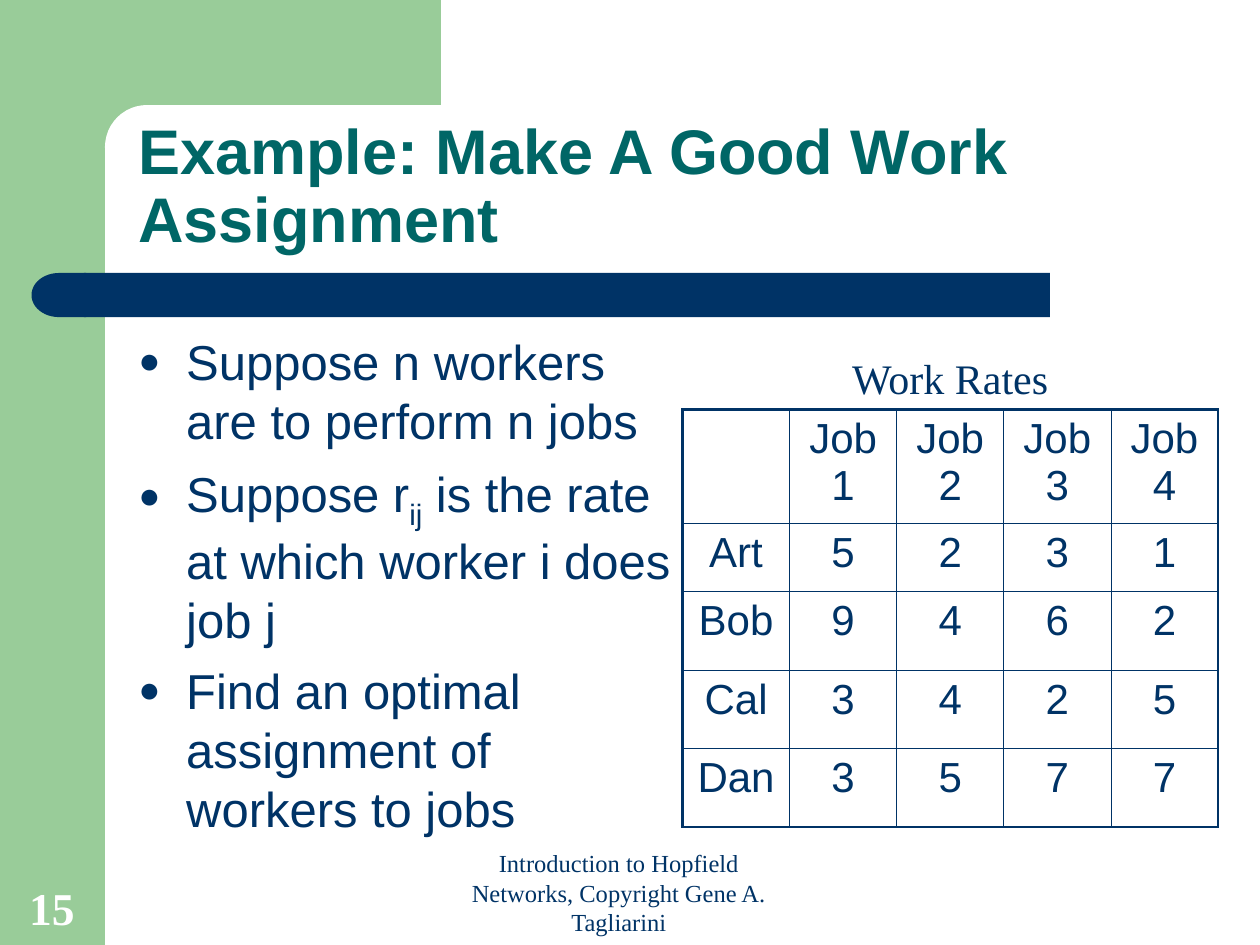
"""Build the work assignment slide on a grid of 120 columns by 90 rows."""
from dataclasses import dataclass

from lxml.etree import SubElement
from pptx import Presentation
from pptx.dml.color import RGBColor
from pptx.enum.shapes import MSO_SHAPE
from pptx.enum.text import MSO_ANCHOR, PP_ALIGN
from pptx.oxml.ns import qn
from pptx.util import Inches, Pt


@dataclass(frozen=True)
class Theme:
    green: str = "99CC99"
    navy: str = "003366"
    teal: str = "006666"
    white: str = "FFFFFF"
    sans: str = "Arial"
    serif: str = "Times New Roman"
    title_size: int = 36
    body_size: int = 28
    subscript_size: int = 29
    table_size: int = 24
    number_size: int = 26
    footer_size: int = 14
    outer_border: float = 1.47
    inner_border: float = 0.45


THEME = Theme()
COLUMNS, ROWS = 120, 90
WIDTH, HEIGHT = Inches(10), Inches(7.5)
BULLETS = [
    [("Suppose n workers are to perform n jobs", False)],
    [("Suppose r", False), ("ij", True),
     (" is the rate at which worker i does job j", False)],
    [("Find an optimal assignment of workers to jobs", False)],
]
WORK_RATES = [
    ["", "Job 1", "Job 2", "Job 3", "Job 4"],
    ["Art", "5", "2", "3", "1"],
    ["Bob", "9", "4", "6", "2"],
    ["Cal", "3", "4", "2", "5"],
    ["Dan", "3", "5", "7", "7"],
]
RATE_COLUMN = 10.2
RATE_ROWS = [10.8, 6.5, 7.5, 7.5, 7.5]


def across(columns):
    return round(WIDTH * columns / COLUMNS)


def down(rows):
    return round(HEIGHT * rows / ROWS)


def place(left, top, width, height):
    return across(left), down(top), across(width), down(height)


def add_panel(slide, kind, box, color, rounding=None, flipped=False):
    shape = slide.shapes.add_shape(kind, *place(*box))
    shape.shadow.inherit = False
    shape.fill.solid()
    shape.fill.fore_color.rgb = RGBColor.from_string(color)
    shape.line.fill.background()
    if rounding is not None:
        shape.adjustments[0] = rounding
    if flipped:
        shape.element.spPr.find(qn("a:xfrm")).set("flipH", "1")


def add_run(paragraph, text, size, color=THEME.navy, font=THEME.sans, bold=False):
    run = paragraph.add_run()
    run.text = text
    run.font.size = Pt(size)
    run.font.name = font
    run.font.bold = bold
    run.font.color.rgb = RGBColor.from_string(color)
    return run


def add_frame(slide, box, anchor=MSO_ANCHOR.TOP):
    frame = slide.shapes.add_textbox(*place(*box)).text_frame
    frame.word_wrap = True
    frame.vertical_anchor = anchor
    return frame


def add_label(slide, box, text, size, anchor=MSO_ANCHOR.BOTTOM,
              align=PP_ALIGN.LEFT, spacing=None, before=0, **style):
    paragraph = add_frame(slide, box, anchor).paragraphs[0]
    paragraph.alignment = align
    paragraph.line_spacing = spacing
    paragraph.space_before = Pt(before)
    add_run(paragraph, text, size, **style)
    return paragraph


def set_bullet(paragraph):
    properties = paragraph._p.get_or_add_pPr()
    properties.set("marL", str(Inches(0.38)))
    properties.set("indent", str(-Inches(0.38)))
    color = SubElement(properties, qn("a:buClr"))
    SubElement(color, qn("a:srgbClr"), val=THEME.navy)
    SubElement(properties, qn("a:buSzPct"), val="75000")
    SubElement(properties, qn("a:buFont"), typeface=THEME.sans)
    SubElement(properties, qn("a:buChar"), char="●")


def add_bullets(slide, box, items):
    frame = add_frame(slide, box)
    for index, pieces in enumerate(items):
        paragraph = frame.add_paragraph() if index else frame.paragraphs[0]
        paragraph.space_before = Pt(7)
        set_bullet(paragraph)
        for text, lowered in pieces:
            size = THEME.subscript_size if lowered else THEME.body_size
            run = add_run(paragraph, text, size)
            if lowered:
                run.font._element.set("baseline", "-25000")


def set_borders(cell, outer_sides):
    properties = cell._tc.get_or_add_tcPr()
    for side, is_outer in outer_sides.items():
        weight = THEME.outer_border if is_outer else THEME.inner_border
        line = SubElement(properties, qn(f"a:ln{side}"), w=str(Pt(weight)))
        fill = SubElement(line, qn("a:solidFill"))
        SubElement(fill, qn("a:srgbClr"), val=THEME.navy)


def add_rate_table(slide, left, top, values):
    last_row, last_column = len(values) - 1, len(values[0]) - 1
    box = place(left, top, RATE_COLUMN * len(values[0]), sum(RATE_ROWS))
    table = slide.shapes.add_table(len(values), len(values[0]), *box).table
    table.first_row = table.horz_banding = False
    for column in table.columns:
        column.width = across(RATE_COLUMN)
    for row_index, row in enumerate(values):
        table.rows[row_index].height = down(RATE_ROWS[row_index])
        for column_index, text in enumerate(row):
            cell = table.cell(row_index, column_index)
            set_borders(cell, {"L": column_index == 0,
                               "R": column_index == last_column,
                               "T": row_index == 0,
                               "B": row_index == last_row})
            cell.fill.background()
            paragraph = cell.text_frame.paragraphs[0]
            paragraph.alignment = PP_ALIGN.CENTER
            paragraph.space_before = Pt(6)
            if text:
                add_run(paragraph, text, THEME.table_size)


def add_backdrop(slide):
    add_panel(slide, MSO_SHAPE.RECTANGLE, (0, 0, 10, 90), THEME.green)
    add_panel(slide, MSO_SHAPE.RECTANGLE, (9, 0, 33, 14), THEME.green)
    add_panel(slide, MSO_SHAPE.ROUNDED_RECTANGLE, (10, 10, 67, 8), THEME.white, 0.5)
    add_panel(slide, MSO_SHAPE.ROUNDED_RECTANGLE, (8, 26, 92, 4.2), THEME.navy, 0)
    add_panel(slide, MSO_SHAPE.FLOWCHART_DELAY, (3, 26, 5.2, 4.2), THEME.navy,
              flipped=True)


def main():
    presentation = Presentation()
    presentation.slide_width, presentation.slide_height = WIDTH, HEIGHT
    slide = presentation.slides.add_slide(presentation.slide_layouts[6])
    add_backdrop(slide)
    add_label(slide, (12, 10, 105, 15), "Example: Make A Good Work Assignment",
              THEME.title_size, spacing=0.9, color=THEME.teal, bold=True)
    add_bullets(slide, (12, 31, 53.5, 49), BULLETS)
    add_rate_table(slide, 65, 39, WORK_RATES)
    add_label(slide, (69, 33, 43, 6), "Work Rates", THEME.table_size,
              MSO_ANCHOR.TOP, PP_ALIGN.CENTER, before=15, font=THEME.serif)
    footer = add_label(slide, (38.5, 85.7, 38, 4.1),
                       "Introduction to Hopfield Networks, Copyright Gene A. Tagliarini",
                       THEME.footer_size, align=PP_ALIGN.CENTER, font=THEME.serif)
    footer._p.get_or_add_pPr().set("marL", str(Inches(0.24)))
    add_label(slide, (1.6, 83.1, 7.7, 6.5), "15", THEME.number_size,
              color=THEME.white, font=THEME.serif, bold=True)
    presentation.save("out.pptx")


main()
